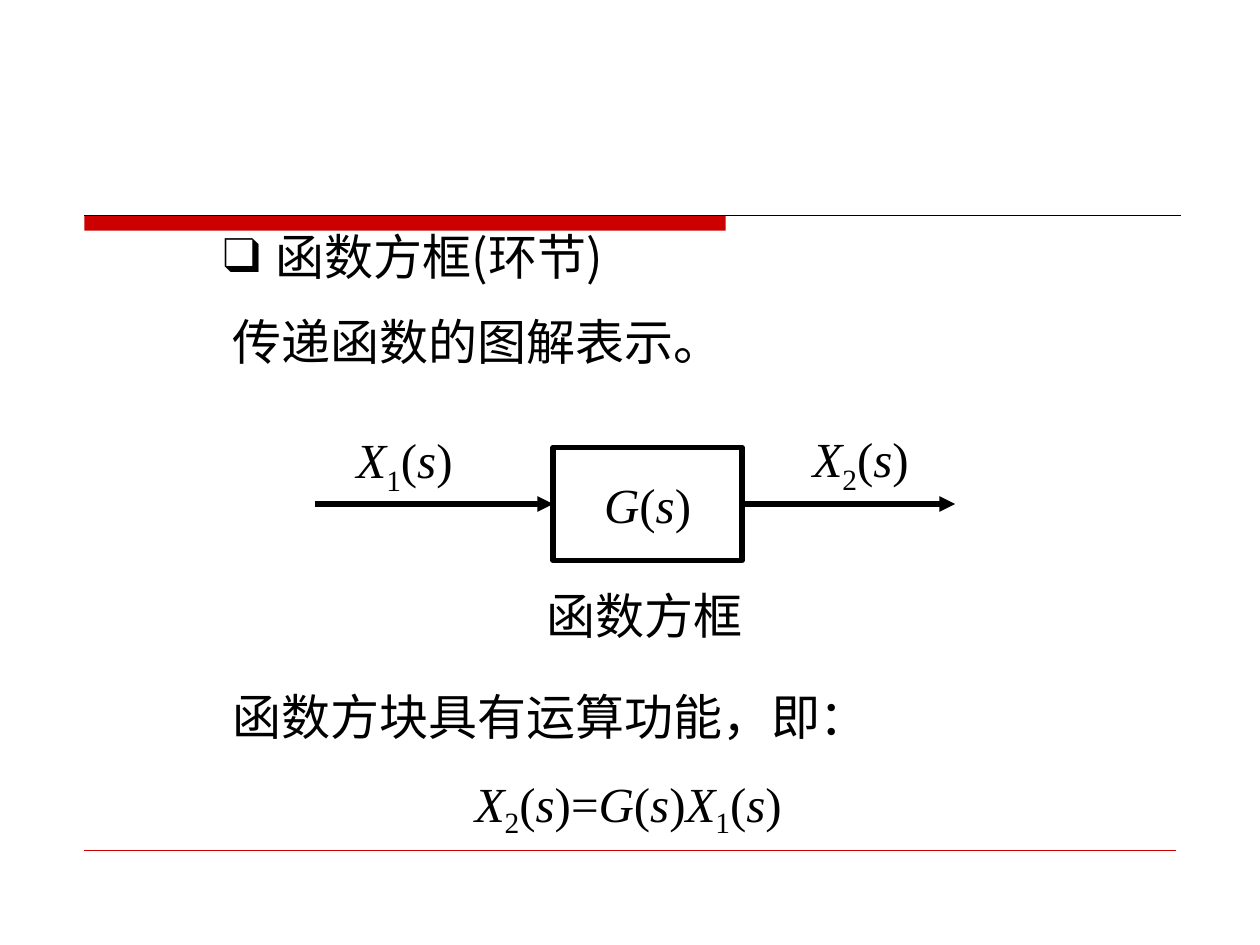
import itertools
from typing import NamedTuple

import lxml.etree
import pptx
import pptx.dml.color
import pptx.enum.shapes
import pptx.enum.text
import pptx.oxml.ns
import pptx.util

Inches = pptx.util.Inches
Pt = pptx.util.Pt
qn = pptx.oxml.ns.qn
PP_ALIGN = pptx.enum.text.PP_ALIGN
MSO_ANCHOR = pptx.enum.text.MSO_ANCHOR
MSO_AUTO_SIZE = pptx.enum.text.MSO_AUTO_SIZE

COLORS = {"accent": "CC0000", "ink": "000000"}
CJK_FONT = "Noto Sans CJK SC"
MATH_FONT = "Times New Roman"
TEXT_SIZE = 28
SUB_SIZE = 29
AXIS_Y = 4.0


class Label(NamedTuple):
    text: str
    left: float
    top: float
    width: float
    height: float = 0.57
    wrap: bool = False
    spacing: float = 1.0


class Formula(NamedTuple):
    text: str
    left: float
    top: float
    width: float
    height: float = 0.57
    wrap: bool = False
    baseline: int = -25


class Rule(NamedTuple):
    x1: float
    x2: float
    y: float
    width: float
    color: str = "ink"
    arrow: bool = False


LABELS = [
    Label("函数方框", 4.24, 4.6, 1.76),
    Label("函数方块具有运算功能，即：", 1.75, 5.33, 7.33, 0.64, True, 1.15),
    Label("传递函数的图解表示。", 1.75, 2.42, 4.09),
]
FORMULAS = [
    Formula("X1(s)", 2.73, 3.35, 0.98),
    Formula("X2(s)", 6.35, 3.34, 0.98),
    Formula("X2(s)=G(s)X1(s)", 3.67, 6.08, 2.92, wrap=True, baseline=-20),
]
RULES = [
    Rule(0.67, 9.37, 1.71, 0.75),
    Rule(0.67, 9.33, 6.75, 0.25, "accent"),
    Rule(2.5, 4.39, AXIS_Y, 3, arrow=True),
    Rule(5.89, 7.58, AXIS_Y, 3, arrow=True),
]


def rgb(name: str) -> pptx.dml.color.RGBColor:
    return pptx.dml.color.RGBColor.from_string(COLORS[name])


def set_attrs(obj, values: dict) -> None:
    for name, value in values.items():
        setattr(obj, name, value)


def add_run(p, text: str, font: str, size: float = TEXT_SIZE, italic: bool = False):
    r = p.add_run()
    r.text = text
    set_attrs(r.font, {"name": font, "size": Pt(size), "italic": italic, "bold": False})
    r.font.color.rgb = rgb("ink")
    ea = lxml.etree.SubElement(r.font._element, qn("a:ea"))
    ea.set("typeface", CJK_FONT)
    return r


def char_kind(char: str) -> str:
    if char.isalpha():
        return "variable"
    return "index" if char.isdigit() else "symbol"


def write_formula(p, text: str, baseline: int = -25) -> None:
    for kind, chars in itertools.groupby(text, char_kind):
        size = SUB_SIZE if kind == "index" else TEXT_SIZE
        r = add_run(p, "".join(chars), MATH_FONT, size, kind == "variable")
        if kind == "index":
            r.font._element.set("baseline", str(baseline * 1000))


def add_box(s, box: Label | Formula):
    sp = s.shapes.add_textbox(*map(Inches, (box.left, box.top, box.width, box.height)))
    set_attrs(sp.text_frame, {
        "word_wrap": box.wrap,
        "auto_size": MSO_AUTO_SIZE.SHAPE_TO_FIT_TEXT,
    })
    return sp.text_frame.paragraphs[0]


def add_label(s, label: Label) -> None:
    p = add_box(s, label)
    p.line_spacing = label.spacing
    add_run(p, label.text, CJK_FONT)


def add_formula(s, formula: Formula) -> None:
    write_formula(add_box(s, formula), formula.text, formula.baseline)


def add_rule(s, rule: Rule) -> None:
    y = Inches(rule.y)
    line = s.shapes.add_connector(
        pptx.enum.shapes.MSO_CONNECTOR.STRAIGHT, Inches(rule.x1), y, Inches(rule.x2), y)
    line.line.width = Pt(rule.width)
    line.line.color.rgb = rgb(rule.color)
    if rule.arrow:
        tail = lxml.etree.SubElement(line.line._get_or_add_ln(), qn("a:tailEnd"))
        tail.set("type", "triangle")
    lxml.etree.SubElement(line._element.spPr, qn("a:effectLst"))


def add_rect(s, left: float, top: float, width: float, height: float):
    sp = s.shapes.add_shape(
        pptx.enum.shapes.MSO_SHAPE.RECTANGLE, *map(Inches, (left, top, width, height)))
    sp.shadow.inherit = False
    return sp


def add_header_bar(s) -> None:
    sp = add_rect(s, 0.67, 1.71, 5.09, 0.12)
    sp.fill.solid()
    sp.fill.fore_color.rgb = rgb("accent")
    sp.line.fill.background()


def add_function_block(s) -> None:
    sp = add_rect(s, 4.39, AXIS_Y - 0.45, 1.5, 0.9)
    sp.fill.background()
    sp.line.width = Pt(3)
    sp.line.color.rgb = rgb("ink")
    tf = sp.text_frame
    set_attrs(tf, {"word_wrap": False, "vertical_anchor": MSO_ANCHOR.MIDDLE})
    p = tf.paragraphs[0]
    p.alignment = PP_ALIGN.CENTER
    write_formula(p, "G(s)")


def write_title(s) -> None:
    sp = s.shapes.title
    set_attrs(sp, {"left": Inches(1.67), "top": Inches(1.75),
                   "width": Inches(4.5), "height": Inches(0.57)})
    tf = sp.text_frame
    set_attrs(tf, {"word_wrap": True, "vertical_anchor": MSO_ANCHOR.TOP,
                   "auto_size": MSO_AUTO_SIZE.SHAPE_TO_FIT_TEXT})
    p = tf.paragraphs[0]
    p.alignment = PP_ALIGN.LEFT
    pPr = p._p.get_or_add_pPr()
    pPr.set("marL", str(Inches(0.42)))
    pPr.set("indent", str(-Inches(0.42)))
    lxml.etree.SubElement(pPr, qn("a:buFont")).set("typeface", MATH_FONT)
    lxml.etree.SubElement(pPr, qn("a:buChar")).set("char", "❑")
    add_run(p, "函数方框(环节)", CJK_FONT)


def main() -> None:
    prs = pptx.Presentation()
    set_attrs(prs, {"slide_width": Inches(10), "slide_height": Inches(7.5)})
    s = prs.slides.add_slide(prs.slide_layouts[5])
    add_header_bar(s)
    write_title(s)
    add_function_block(s)
    for rule in RULES:
        add_rule(s, rule)
    for label in LABELS:
        add_label(s, label)
    for formula in FORMULAS:
        add_formula(s, formula)
    prs.save("out.pptx")


if __name__ == "__main__":
    main()
